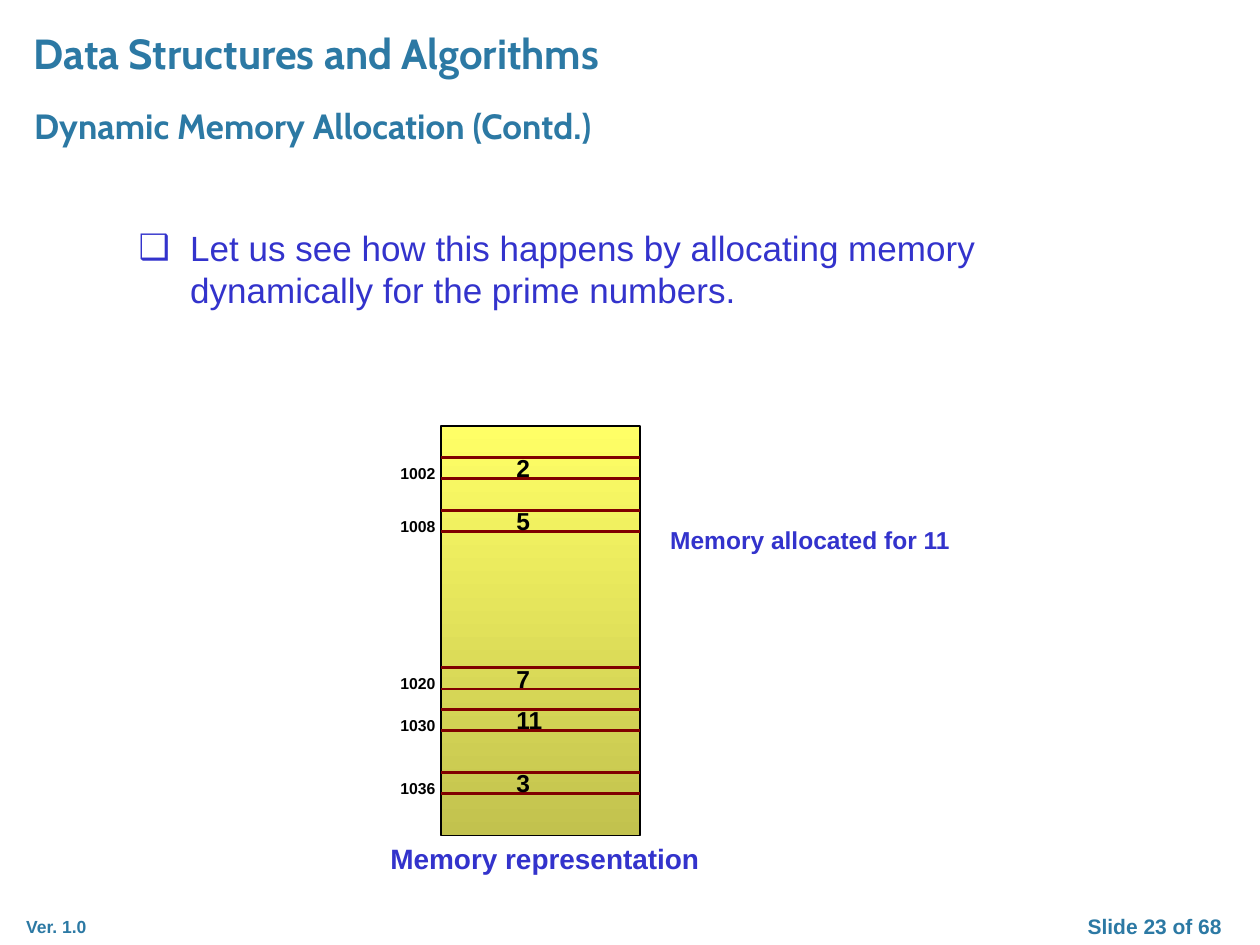
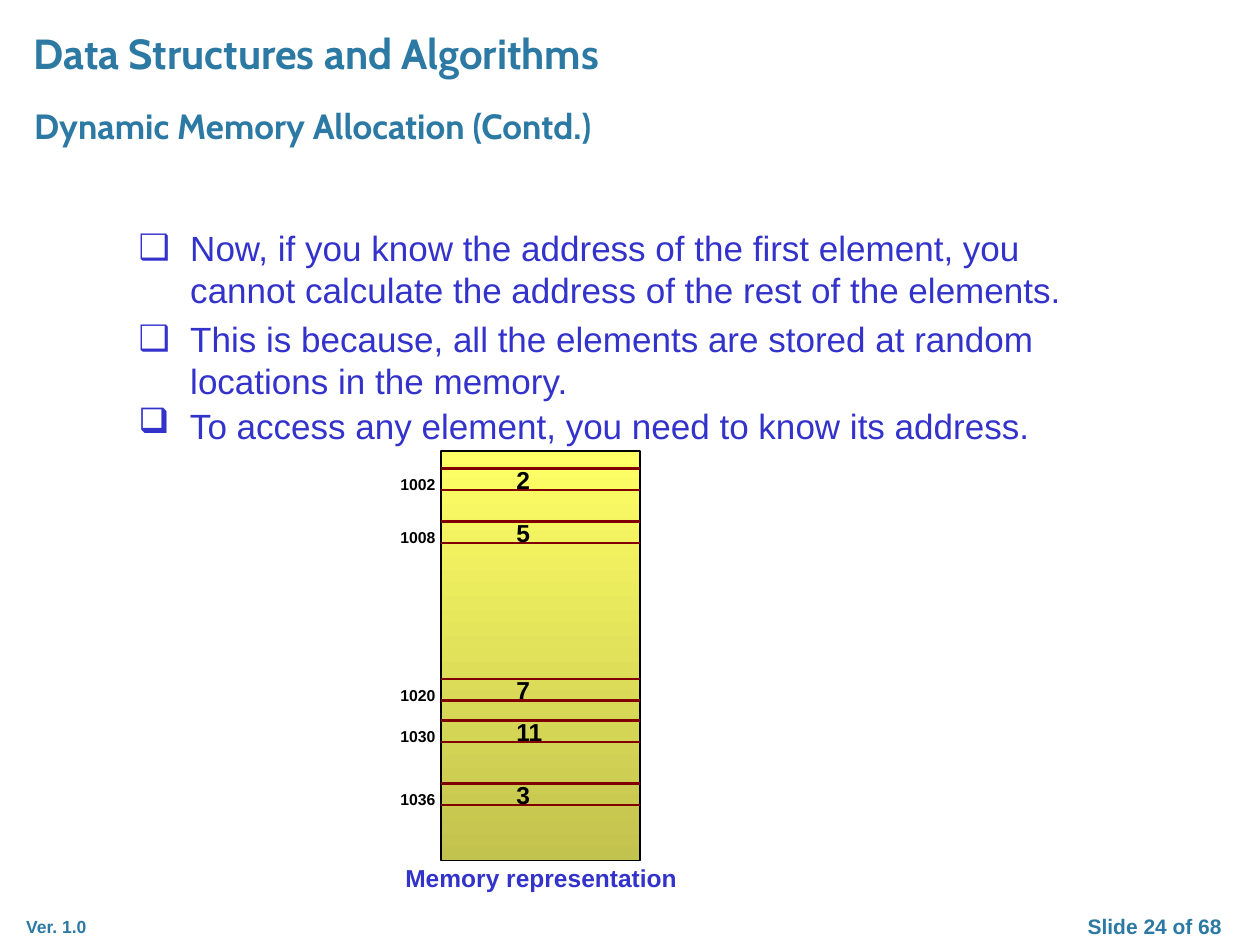
from dataclasses import dataclass
from typing import Any

from lxml.etree import SubElement
from pptx import Presentation
from pptx.dml.color import RGBColor as Color
from pptx.enum.shapes import MSO_CONNECTOR as Connector, MSO_SHAPE as Shape
from pptx.enum.text import MSO_ANCHOR as Anchor, MSO_AUTO_SIZE as Fit, PP_ALIGN as Align
from pptx.oxml.ns import qn
from pptx.util import Inches, Pt


@dataclass(frozen=True)
class Theme:
    heading_font: str = "Cabin"
    body_font: str = "Arial"
    teal: str = "2C79A4"
    blue: str = "3333CC"
    black: str = "000000"
    maroon: str = "800000"
    memory_top: str = "FFFF66"
    memory_bottom: str = "C2C24E"
    course_size: int = 24
    heading_size: int = 20
    list_size: int = 20
    caption_size: int = 16
    label_size: int = 14
    number_size: int = 12
    version_size: int = 10
    address_size: int = 9
    border_width: float = 0.75
    divider_width: float = 1.5
    list_gap: int = 4


CELLS = [
    ("2", "1002", 0),
    ("5", "1008", 0.42),
    ("7", "1020", 1.67),
    ("11", "1030", 2),
    ("3", "1036", 2.5),
]
CELL_HEIGHT = 0.17
BLOCK_LEFT, BLOCK_WIDTH, BLOCK_HEIGHT = 3.5, 1.58, 3.25


def assign(target, values):
    for name, value in values.items():
        setattr(target, name, value)


@dataclass
class Page:
    deck: Any
    theme: Theme
    slide: Any = None

    def start(self, number):
        theme = self.theme
        self.slide = self.deck.slides.add_slide(self.deck.slide_layouts[1])
        self.fill_text(self.slide.shapes.title, (0.17, 0.78, 7.5, 0.43),
                       ["Dynamic Memory Allocation (Contd.)"],
                       theme.heading_size, theme.teal, font=theme.heading_font)
        self.label("Data Structures and Algorithms", (0.17, 0.17, 8.33, 1.11),
                   theme.course_size, theme.teal, font=theme.heading_font)
        self.label("Ver. 1.0", (0.11, 7.22, 0.79, 0.27), theme.version_size, theme.teal)
        self.label(f"Slide {number} of 68", (8.33, 7.2, 1.67, 0.3),
                   theme.number_size, theme.teal, align=Align.CENTER)

    def fill_text(self, box, place, lines, size, color, font=None, bold=True,
                  align=Align.LEFT, fit=Fit.SHAPE_TO_FIT_TEXT):
        assign(box, dict(zip(("left", "top", "width", "height"), map(Inches, place))))
        frame = box.text_frame
        frame.text = "\n".join(lines)
        assign(frame, {
            "word_wrap": True, "auto_size": fit, "vertical_anchor": Anchor.TOP,
            "margin_left": Inches(0.1), "margin_right": Inches(0.1),
            "margin_top": Inches(0.05), "margin_bottom": Inches(0.05),
        })
        for index, para in enumerate(frame.paragraphs):
            gap = Pt(self.theme.list_gap) if index else Pt(0)
            assign(para, {"alignment": align, "line_spacing": 1.0, "space_before": gap})
            for span in para.runs:
                assign(span.font, {"name": font or self.theme.body_font,
                                   "size": Pt(size), "bold": bold})
                span.font.color.rgb = Color.from_string(color)

    def label(self, text, place, size, color, **style):
        box = self.slide.shapes.add_textbox(*map(Inches, place))
        self.fill_text(box, place, [text], size, color, **style)

    def bullets(self, box, place, lines, fit=Fit.NONE):
        self.fill_text(box, place, lines, self.theme.list_size, self.theme.blue,
                       bold=False, fit=fit)
        for para in box.text_frame.paragraphs:
            layout = para._p.get_or_add_pPr()
            layout.set("marL", str(Inches(0.41)))
            layout.set("indent", str(-Inches(0.41)))
            SubElement(layout, qn("a:buChar")).set("char", "\u2751")

    def body(self, place, lines, fit=Fit.NONE):
        self.bullets(self.slide.placeholders[1], place, lines, fit)

    def extra_point(self, place, text):
        box = self.slide.shapes.add_textbox(*map(Inches, place))
        self.bullets(box, place, [text])

    def divider(self, top):
        line = self.slide.shapes.add_connector(
            Connector.STRAIGHT, Inches(BLOCK_LEFT), Inches(top),
            Inches(BLOCK_LEFT + BLOCK_WIDTH), Inches(top))
        line.line.width = Pt(self.theme.divider_width)
        line.line.color.rgb = Color.from_string(self.theme.maroon)
        SubElement(line._element.spPr, qn("a:effectLst"))

    def memory(self, top, first_cell):
        theme = self.theme
        block = self.slide.shapes.add_shape(
            Shape.RECTANGLE, *map(Inches, (BLOCK_LEFT, top, BLOCK_WIDTH, BLOCK_HEIGHT)))
        block.shadow.inherit = False
        block.fill.gradient()
        block.fill.gradient_angle = 270
        for stop, color in zip(block.fill.gradient_stops,
                               (theme.memory_top, theme.memory_bottom)):
            stop.color.rgb = Color.from_string(color)
        block.line.width = Pt(theme.border_width)
        block.line.color.rgb = Color.from_string(theme.black)
        for value, address, offset in CELLS:
            cell_top = first_cell + offset
            self.divider(cell_top)
            self.divider(cell_top + CELL_HEIGHT)
            self.label(value, (4, cell_top - 0.08, 0.42, 0.33),
                       theme.label_size, theme.black)
            self.label(address, (3.08, cell_top, 1.17, 0.25),
                       theme.address_size, theme.black)


deck = Presentation()
assign(deck, {"slide_width": Inches(10), "slide_height": Inches(7.5)})
theme = Theme()
page = Page(deck, theme)

page.start(23)
page.body((1, 1.75, 7.08, 0.77), [
    "Let us see how this happens by allocating memory dynamically for the prime numbers.",
], fit=Fit.SHAPE_TO_FIT_TEXT)
page.memory(3.38, 3.63)
page.label("Memory allocated for 11", (5.22, 4.12, 2.75, 0.34),
           theme.label_size, theme.blue)
page.label("Memory representation", (3, 6.63, 3.25, 0.37),
           theme.caption_size, theme.blue)

page.start(24)
page.body((1, 1.75, 8, 5.25), [
    "Now, if you know the address of the first element, you cannot calculate "
    "the address of the rest of the elements.",
    "This is because, all the elements are stored at random locations in the memory.",
])
page.extra_point((1, 3.16, 8, 0.67),
                 "To access any element, you need to know its address.")
page.memory(3.58, 3.72)
page.label("Memory representation", (2.67, 6.8, 3.25, 0.34),
           theme.label_size, theme.blue, align=Align.CENTER)

deck.save("out.pptx")
